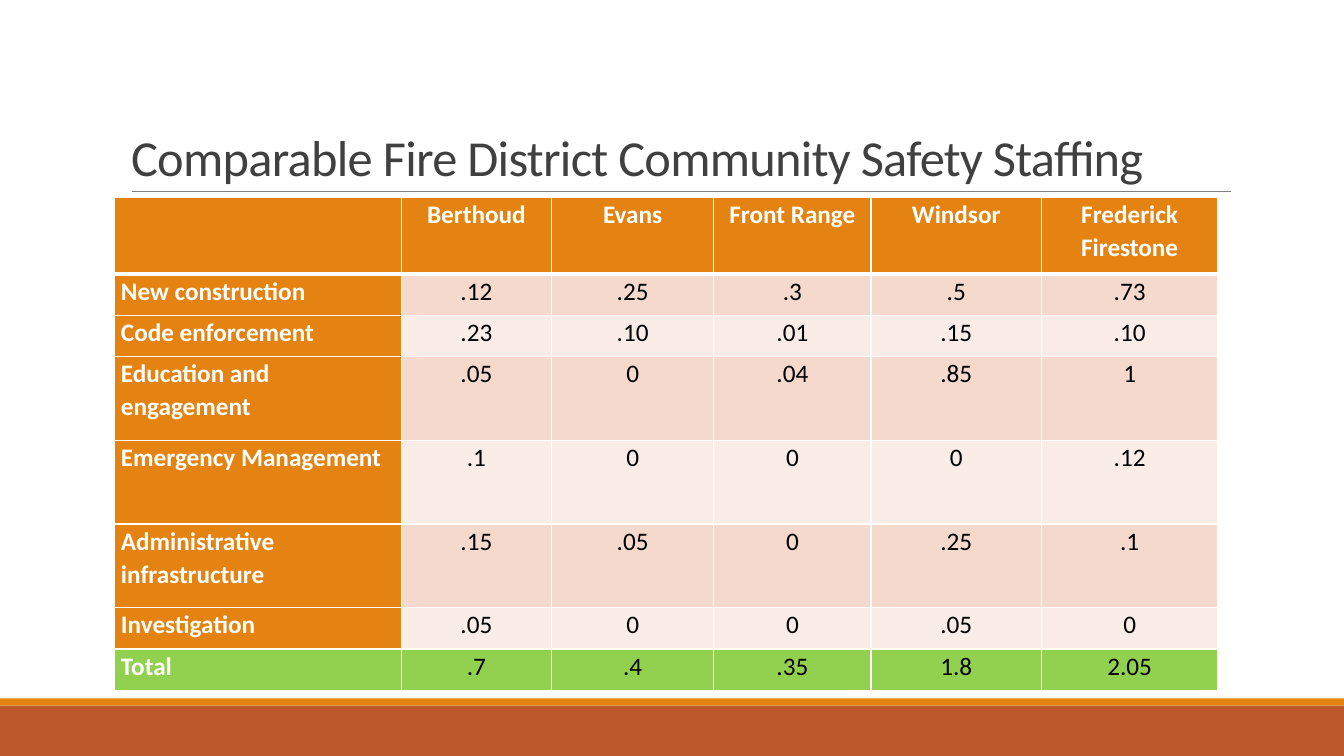
from lxml import etree
from pptx import Presentation
from pptx.dml.color import RGBColor
from pptx.enum import shapes, text
from pptx.oxml import ns
from pptx.util import Inches, Pt

# Content
TITLE = "Comparable Fire District Community Safety Staffing"
ROWS = [
    ("", "Berthoud", "Evans", "Front Range", "Windsor", "Frederick Firestone"),
    ("New construction", ".12", ".25", ".3", ".5", ".73"),
    ("Code enforcement", ".23", ".10", ".01", ".15", ".10"),
    ("Education and engagement", ".05", "0", ".04", ".85", "1"),
    ("Emergency Management", ".1", "0", "0", "0", ".12"),
    ("Administrative infrastructure", ".15", ".05", "0", ".25", ".1"),
    ("Investigation", ".05", "0", "0", ".05", "0"),
    ("Total", ".7", ".4", ".35", "1.8", "2.05"),
]
COLUMN_WIDTHS = (2.85, 1.49, 1.61, 1.56, 1.69, 1.75)
ROW_HEIGHTS = (0.76, 0.41, 0.41, 0.83, 0.83, 0.83, 0.41, 0.41)
FONT = "Calibri"
COLORS = {
    "header": "E48312", "footer": "BD582C", "odd": "F5D9CC", "even": "FAEDE7",
    "total": "92D050", "rule": "808080", "title": "404040",
    "white": "FFFFFF", "black": "000000",
}


def color(name):
    return RGBColor.from_string(COLORS[name])


def write(frame, words, *, size, ink, bold=False, align="LEFT", spacing=1.0):
    para = frame.paragraphs[0]
    para.alignment = getattr(text.PP_ALIGN, align)
    para.line_spacing = spacing
    span = para.add_run()
    span.text = words
    span.font.name = FONT
    span.font.size = Pt(size)
    span.font.bold = bold
    span.font.color.rgb = color(ink)
    return span


def add_band(page, top, height, fill):
    band = page.shapes.add_shape(shapes.MSO_SHAPE.RECTANGLE, 0, Inches(top),
                                 Inches(13.33), Inches(height))
    band.shadow.inherit = False
    band.fill.solid()
    band.fill.fore_color.rgb = color(fill)
    band.line.fill.background()


def add_borders(cell, widths):
    """Draw white borders; widths are points for left, right, top, bottom."""
    properties = cell._tc.get_or_add_tcPr()
    for index, (side, width) in enumerate(zip("LRTB", widths)):
        line = etree.Element(ns.qn(f"a:ln{side}"), w=str(Pt(width)))
        fill = etree.SubElement(line, ns.qn("a:solidFill"))
        etree.SubElement(fill, ns.qn("a:srgbClr"), val=COLORS["white"])
        properties.insert(index, line)


def cell_fill(row, column):
    if row == len(ROWS) - 1:
        return "total"
    if row == 0 or column == 0:
        return "header"
    return "odd" if row % 2 else "even"


def add_staffing_table(page):
    table = page.shapes.add_table(
        len(ROWS), len(COLUMN_WIDTHS), Inches(1.13), Inches(1.96),
        Inches(sum(COLUMN_WIDTHS)), Inches(sum(ROW_HEIGHTS))).table
    for column, width in zip(table.columns, COLUMN_WIDTHS):
        column.width = Inches(width)
    for row, height in zip(table.rows, ROW_HEIGHTS):
        row.height = Inches(height)
    for r, values in enumerate(ROWS):
        for c, value in enumerate(values):
            cell = table.cell(r, c)
            cell.margin_left = cell.margin_right = Inches(0.07)
            cell.margin_top = cell.margin_bottom = 0
            cell.fill.solid()
            cell.fill.fore_color.rgb = color(cell_fill(r, c))
            add_borders(cell, (1, 1, 3 if r == 1 else 1, 3 if r == 0 else 1))
            heading = r == 0 or c == 0
            if value:
                write(cell.text_frame, value, size=18, bold=heading,
                      ink="white" if heading else "black",
                      align="CENTER" if c else "LEFT", spacing=1.07)


def main():
    deck = Presentation()
    deck.slide_width, deck.slide_height = Inches(13.33), Inches(7.5)
    page = deck.slides.add_slide(deck.slide_layouts[5])

    # Footer bands
    add_band(page, 7, 0.5, "footer")
    add_band(page, 6.93, 0.07, "header")

    # Rule under the title
    rule = page.shapes.add_connector(shapes.MSO_CONNECTOR.STRAIGHT, Inches(1.31),
                                     Inches(1.9), Inches(12.21), Inches(1.9))
    rule.line.color.rgb = color("rule")
    rule.line.width = Pt(0.5)
    etree.SubElement(rule._element.spPr, ns.qn("a:effectLst"))

    # Title
    title = page.shapes.title
    title.left, title.top = Inches(1.2), Inches(0.31)
    title.width, title.height = Inches(11), Inches(1.59)
    frame = title.text_frame
    frame.word_wrap = True
    frame.auto_size = text.MSO_AUTO_SIZE.NONE
    frame.vertical_anchor = text.MSO_ANCHOR.BOTTOM
    span = write(frame, TITLE, size=36, ink="title", spacing=0.85)
    span.font._element.set("spc", "-50")

    # Table
    add_staffing_table(page)
    deck.save("out.pptx")


if __name__ == "__main__":
    main()
